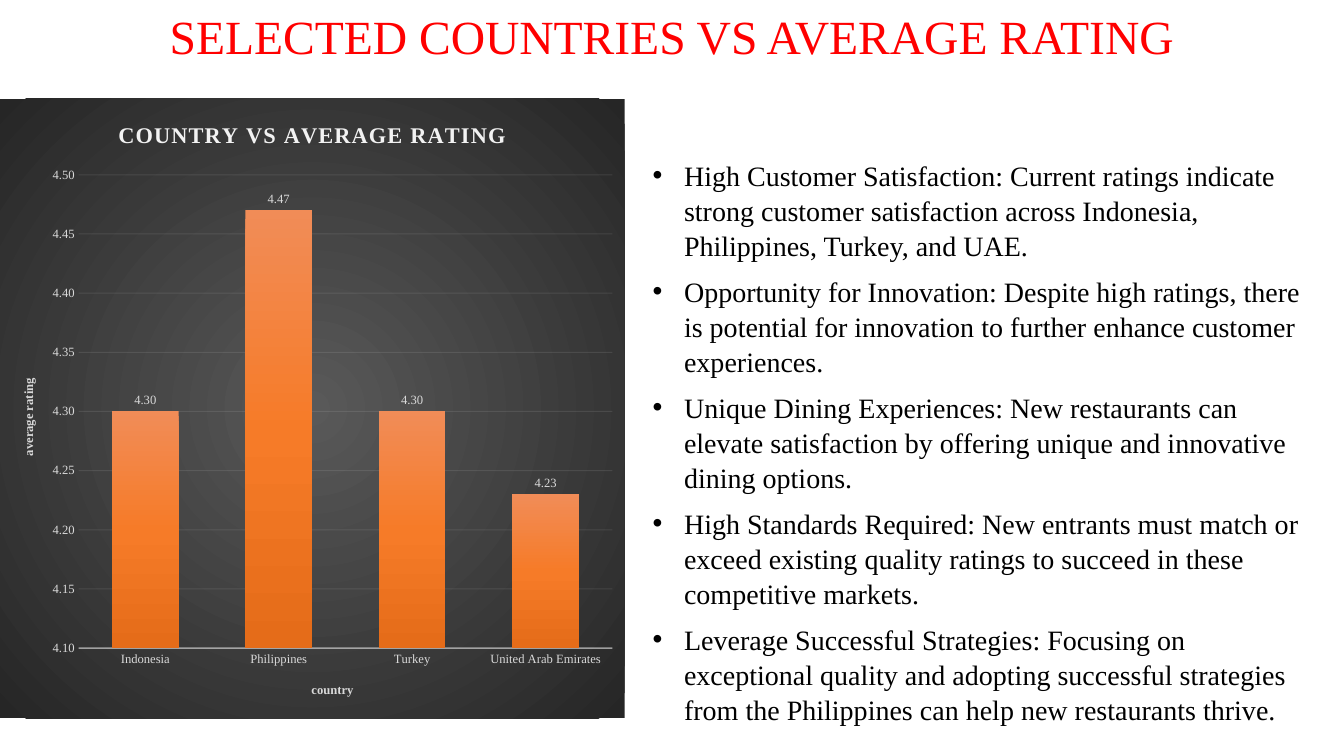
from lxml import etree
from pptx import Presentation
from pptx.chart.data import CategoryChartData
from pptx.dml.color import RGBColor
from pptx.enum.chart import XL_CHART_TYPE as ChartType, XL_LABEL_POSITION as LabelPosition
from pptx.enum.chart import XL_TICK_MARK as TickMark
from pptx.enum.text import MSO_AUTO_SIZE as AutoSize, PP_ALIGN as Align
from pptx.oxml import parse_xml
from pptx.oxml.ns import nsdecls, qn
from pptx.util import Pt

PX = 9525
FONT = "Times New Roman"
BLACK = RGBColor(0x00, 0x00, 0x00)
RED = RGBColor(0xFF, 0x00, 0x00)
OFF_WHITE = RGBColor(0xF2, 0xF2, 0xF2)
LIGHT_GRAY = RGBColor(0xD9, 0xD9, 0xD9)
GRAY = RGBColor(0x59, 0x59, 0x59)
CHARCOAL = RGBColor(0x26, 0x26, 0x26)
PALE_ORANGE = RGBColor(0xF1, 0x8C, 0x57)
ORANGE = RGBColor(0xF6, 0x7B, 0x28)
DARK_ORANGE = RGBColor(0xE5, 0x6C, 0x19)

RATINGS = {"Indonesia": 4.30, "Philippines": 4.47, "Turkey": 4.30, "United Arab Emirates": 4.23}
FINDINGS = [
    "High Customer Satisfaction: Current ratings indicate strong customer satisfaction "
    "across Indonesia, Philippines, Turkey, and UAE.",
    "Opportunity for Innovation: Despite high ratings, there is potential for innovation "
    "to further enhance customer experiences.",
    "Unique Dining Experiences: New restaurants can elevate satisfaction by offering "
    "unique and innovative dining options.",
    "High Standards Required: New entrants must match or exceed existing quality ratings "
    "to succeed in these competitive markets.",
    "Leverage Successful Strategies: Focusing on exceptional quality and adopting "
    "successful strategies from the Philippines can help new restaurants thrive.",
]
RADIAL = '<a:path path="circle"><a:fillToRect l="50000" t="50000" r="50000" b="50000"/></a:path>'
DOWNWARD = '<a:lin ang="5400000" scaled="0"/>'


def emu(box):
    return [length * PX for length in box]


def style_font(font, size, color, bold=False):
    font.name = FONT
    font.size = Pt(size)
    font.bold = bold
    font.color.rgb = color


def gradient(colors, direction):
    """Return a gradFill element with the colours spread evenly."""
    step = 100000 // (len(colors) - 1)
    stops = "".join(f'<a:gs pos="{i * step}"><a:srgbClr val="{color}"/></a:gs>'
                    for i, color in enumerate(colors))
    return parse_xml(f'<a:gradFill {nsdecls("a")} rotWithShape="1">'
                     f'<a:gsLst>{stops}</a:gsLst>{direction}</a:gradFill>')


def style_line(line, width, opacity):
    line.width = Pt(width)
    line.color.rgb = OFF_WHITE
    for color in line._get_or_add_ln().iter(qn("a:srgbClr")):
        etree.SubElement(color, qn("a:alpha")).set("val", str(opacity * 1000))


def add_caption(owner, text, size, color):
    """Title a chart or an axis and return the run."""
    paragraph = owner.text_frame.paragraphs[0]
    paragraph.text = text
    run = paragraph.runs[0]
    style_font(run.font, size, color, bold=True)
    return run


def style_axis(axis, caption):
    add_caption(axis.axis_title, caption, 9, LIGHT_GRAY)
    style_font(axis.tick_labels.font, 9, LIGHT_GRAY)
    axis.major_tick_mark = axis.minor_tick_mark = TickMark.NONE


def add_rating_chart(slide, box):
    data = CategoryChartData(number_format="0.00")
    data.categories = list(RATINGS)
    data.add_series("Series 1", list(RATINGS.values()))
    chart = slide.shapes.add_chart(ChartType.COLUMN_CLUSTERED, *emu(box), data).chart
    style_font(chart.font, 10, BLACK)
    chart.has_legend = False
    heading = add_caption(chart.chart_title, "COUNTRY VS AVERAGE RATING", 16, OFF_WHITE)
    heading.font._element.set("spc", "100")
    chart.chart_title.include_in_layout = False

    backdrop = parse_xml(f'<c:spPr {nsdecls("c", "a")}><a:ln><a:noFill/></a:ln></c:spPr>')
    backdrop.insert(0, gradient([GRAY, CHARCOAL], RADIAL))
    chart._chartSpace.find(qn("c:chart")).addnext(backdrop)

    countries, ratings = chart.category_axis, chart.value_axis
    style_axis(countries, "country")
    style_line(countries.format.line, 1, 54)
    style_axis(ratings, "average rating")
    ratings.minimum_scale, ratings.maximum_scale, ratings.major_unit = 4.1, 4.5, 0.05
    ratings.tick_labels.number_format = "0.00"
    ratings.tick_labels.number_format_is_linked = False
    ratings.format.line.fill.background()
    style_line(ratings.major_gridlines.format.line, 0.75, 10)

    plot = chart.plots[0]
    plot.gap_width, plot.overlap, plot.vary_by_categories = 100, -24, False
    columns = plot.series[0]
    columns._element.get_or_add_spPr().append(
        gradient([PALE_ORANGE, ORANGE, DARK_ORANGE], DOWNWARD))
    labels = columns.data_labels
    labels.show_value = True
    labels.position = LabelPosition.OUTSIDE_END
    labels.number_format = "0.00"
    labels.number_format_is_linked = False
    style_font(labels.font, 9, LIGHT_GRAY)


def add_text(slide, box, lines, size, color):
    """Add a wrapped text box and return its paragraphs."""
    frame = slide.shapes.add_textbox(*emu(box)).text_frame
    frame.word_wrap = True
    frame.auto_size = AutoSize.SHAPE_TO_FIT_TEXT
    frame.text = "\n".join(lines)
    for paragraph in frame.paragraphs:
        paragraph.line_spacing = 1.04
        style_font(paragraph.runs[0].font, size, color)
    return frame.paragraphs


def add_title(slide, box):
    title, = add_text(slide, box, ["SELECTED COUNTRIES VS AVERAGE RATING"], 34, RED)
    title.alignment = Align.CENTER


def add_findings(slide, box):
    indent = 30 * PX
    for finding in add_text(slide, box, FINDINGS, 20, BLACK):
        finding.space_after = Pt(8)
        properties = finding._p.get_or_add_pPr()
        properties.set("marL", str(indent))
        properties.set("indent", str(-indent))
        etree.SubElement(properties, qn("a:buFont")).set("typeface", "Arial")
        etree.SubElement(properties, qn("a:buChar")).set("char", "•")


def main():
    deck = Presentation()
    deck.slide_width, deck.slide_height = 1280 * PX, 720 * PX
    slide = deck.slides.add_slide(deck.slide_layouts[6])
    add_rating_chart(slide, (0, 94, 595, 590))
    add_findings(slide, (612, 145, 640, 538))
    add_title(slide, (0, 0, 1280, 64))
    deck.save("out.pptx")


if __name__ == "__main__":
    main()
